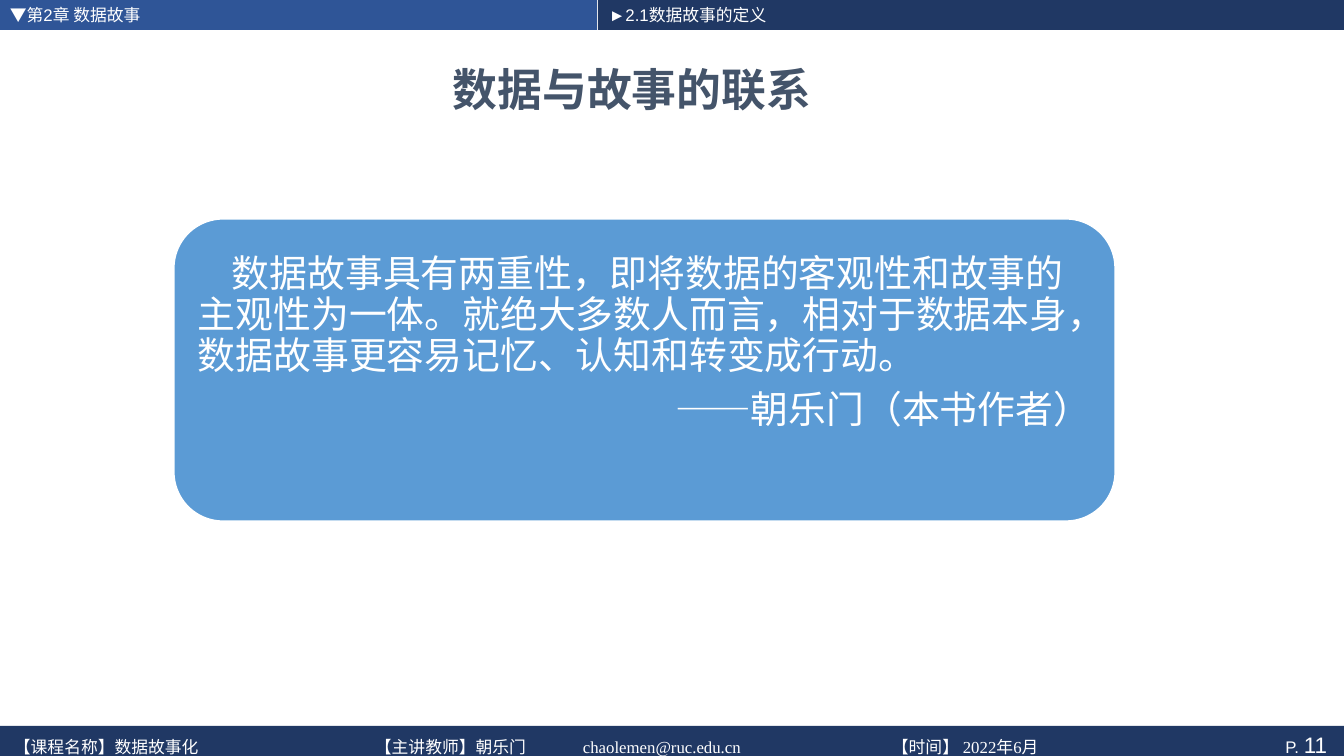
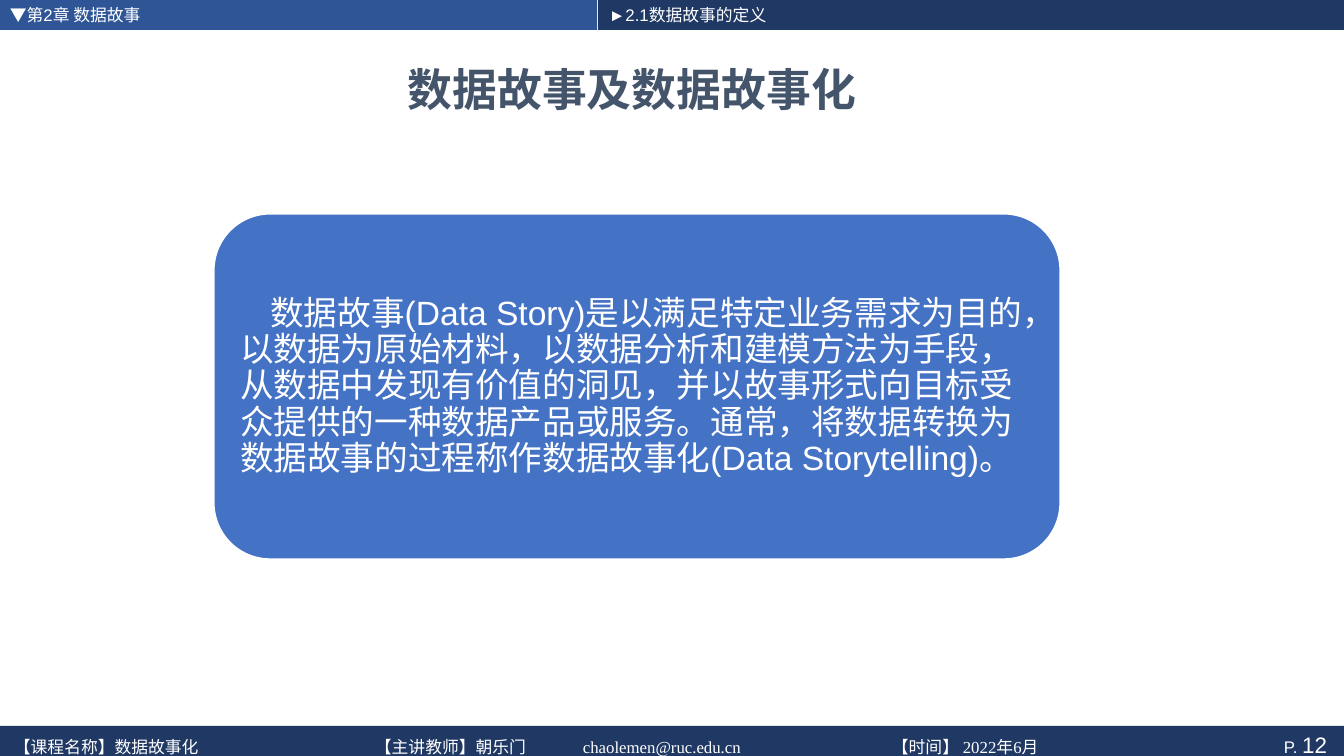
import pptx
import pptx.dml.color
import pptx.enum.shapes
import pptx.enum.text
import pptx.oxml.ns
import pptx.util
from lxml import etree

SHAPES = pptx.enum.shapes.MSO_SHAPE
ALIGN = pptx.enum.text.PP_ALIGN
ANCHOR = pptx.enum.text.MSO_ANCHOR

CHAPTER = "▼第2章 数据故事"
SECTION = "►2.1数据故事的定义"
FOOTER = "【课程名称】数据故事化\t【主讲教师】朝乐门\tchaolemen@ruc.edu.cn\t【时间】 2022年6月"
FOOTER_TABS = (361, 569, 878)

SLIDES = [
    {
        "title": "数据与故事的联系",
        "page": 11,
        "quote": "数据故事具有两重性，即将数据的客观性和故事的主观性为一体。就绝大多数人而言，"
                 "相对于数据本身，数据故事更容易记忆、认知和转变成行动。",
        "author": "——朝乐门（本书作者）",
        "box": (172, 217, 945, 306),
        "fill": "5B9BD5",
        "size": 27,
        "space_below": 54,
    },
    {
        "title": "数据故事及数据故事化",
        "page": 12,
        "quote": "数据故事(Data Story)是以满足特定业务需求为目的，以数据为原始材料，"
                 "以数据分析和建模方法为手段，从数据中发现有价值的洞见，并以故事形式向目标受众"
                 "提供的一种数据产品或服务。通常，将数据转换为数据故事的过程称作数据故事化"
                 "(Data Storytelling)。",
        "author": None,
        "box": (212, 212, 850, 349),
        "fill": "4472C4",
        "size": 24,
        "space_below": 0,
    },
]

THEME = {
    "white": "FFFFFF", "band": "2F5597", "dark_band": "203864", "title": "44546A",
    "latin": "Arial", "cjk": "Noto Sans CJK SC", "serif": "Times New Roman",
    "small": 12, "page": 16, "heading": 32,
    "outline": 3.78, "line_height": 1.085, "paragraph_gap": 0.35, "first_indent": 0.9,
}


def px(length):
    return pptx.util.Emu(round(length * 914400 / 100.8))


def rgb(value):
    return pptx.dml.color.RGBColor.from_string(value)


def style_run(run, size, color=THEME["white"], latin=THEME["latin"], bold=False):
    font = run.font
    font.size = pptx.util.Pt(size)
    font.bold = bold
    font.color.rgb = rgb(color)
    font.name = latin
    east_asian = etree.SubElement(run._r.get_or_add_rPr(), pptx.oxml.ns.qn("a:ea"))
    east_asian.set("typeface", THEME["cjk"])


def add_block(slide, kind, box, fill):
    block = slide.shapes.add_shape(kind, *map(px, box))
    block.shadow.inherit = False
    block.fill.solid()
    block.fill.fore_color.rgb = rgb(fill)
    block.line.fill.background()
    return block


def add_label(slide, box, text, size=THEME["small"], align=ALIGN.LEFT, **run_style):
    frame = slide.shapes.add_textbox(*map(px, box)).text_frame
    frame.word_wrap = True
    frame.vertical_anchor = ANCHOR.MIDDLE
    frame.text = text
    paragraph = frame.paragraphs[0]
    paragraph.alignment = align
    for run in paragraph.runs:
        style_run(run, size, **run_style)
    return paragraph


def set_tabs(paragraph, stops):
    tabs = etree.SubElement(paragraph._p.get_or_add_pPr(), pptx.oxml.ns.qn("a:tabLst"))
    for stop in stops:
        etree.SubElement(tabs, pptx.oxml.ns.qn("a:tab"), pos=str(px(stop)), algn="l")


def add_frame(slide, title, page):
    """Draw the bands, footer, title and page number that every slide has."""
    add_block(slide, SHAPES.RECTANGLE, (0, 0, 597, 30), THEME["band"])
    add_block(slide, SHAPES.RECTANGLE, (598, 0, 746, 30), THEME["dark_band"])
    footer_band = add_block(slide, SHAPES.RECTANGLE, (0, 726, 1344, 37), THEME["dark_band"])
    frame = footer_band.text_frame
    frame.margin_right = px(17)
    frame.vertical_anchor = ANCHOR.MIDDLE
    paragraph = frame.paragraphs[0]
    paragraph.alignment = ALIGN.RIGHT
    for text, size in (("P. ", THEME["small"]), (str(page), THEME["page"])):
        run = paragraph.add_run()
        run.text = text
        style_run(run, size)

    footer = add_label(slide, (4, 731, 1182, 31), FOOTER, latin=THEME["serif"])
    set_tabs(footer, FOOTER_TABS)
    add_label(slide, (44, 43, 1176, 91), title, THEME["heading"], ALIGN.CENTER,
              color=THEME["title"], latin=THEME["cjk"], bold=True)
    add_label(slide, (599, 0, 240, 30), SECTION)
    add_label(slide, (0, 0, 487, 30), CHAPTER)


def add_quote(slide, content):
    card = add_block(slide, SHAPES.ROUNDED_RECTANGLE, content["box"], content["fill"])
    card.line.color.rgb = rgb(THEME["white"])
    card.line.width = pptx.util.Pt(THEME["outline"])
    frame = card.text_frame
    frame.word_wrap = True
    frame.vertical_anchor = ANCHOR.MIDDLE
    frame.margin_left = frame.margin_right = frame.margin_top = px(11)
    frame.margin_bottom = px(11 + content["space_below"])
    size = content["size"]
    frame.text = "\n".join(filter(None, (content["quote"], content["author"])))
    for paragraph in frame.paragraphs:
        paragraph.alignment = ALIGN.RIGHT
        paragraph.line_spacing = pptx.util.Pt(size * THEME["line_height"])
        paragraph.space_after = pptx.util.Pt(size * THEME["paragraph_gap"])
        style_run(paragraph.runs[0], size)
    quote = frame.paragraphs[0]
    quote.alignment = ALIGN.LEFT
    indent = pptx.util.Pt(size * THEME["first_indent"])
    quote._p.get_or_add_pPr().set("indent", str(indent))


def main():
    deck = pptx.Presentation()
    deck.slide_width, deck.slide_height = px(1344), px(756)
    for content in SLIDES:
        slide = deck.slides.add_slide(deck.slide_layouts[6])
        add_frame(slide, content["title"], content["page"])
        add_quote(slide, content)
    deck.save("out.pptx")


if __name__ == "__main__":
    main()
